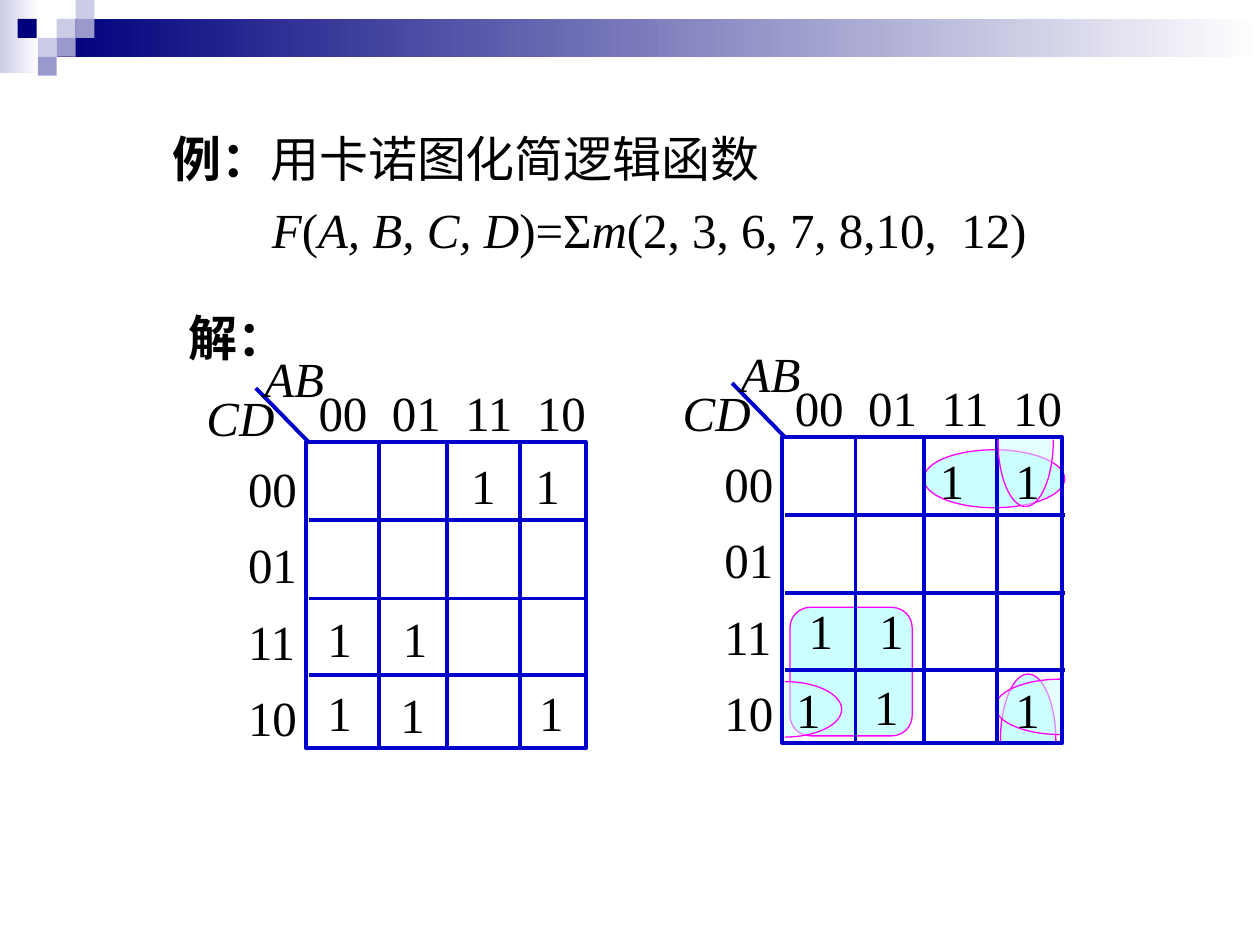
from dataclasses import dataclass

from lxml import etree
from pptx import Presentation
from pptx.dml.color import RGBColor
from pptx.enum import shapes, text
from pptx.oxml import ns
from pptx.util import Inches, Pt


@dataclass(frozen=True)
class Theme:
    font: str = "Times New Roman"
    size: float = 28
    ink: str = "000000"
    grid: str = "0000CC"
    loop: str = "FF00FF"
    loop_fill: str = "CCFFFF"
    navy: str = "00007D"
    mid: str = "9999CC"
    pale: str = "CCCCE6"
    white: str = "FFFFFF"
    grid_pt: float = 2.25
    loop_pt: float = 0.75


class Board:
    """Holds the theme and the current slide."""

    def __init__(self, s, theme):
        self.s, self.theme = s, theme

    def style(self, sp, fill=None, line=None, width=1, alpha=None):
        sp.shadow.inherit = False
        if fill is None:
            sp.fill.background()
        elif isinstance(fill, tuple):
            sp.fill.gradient()
            sp.fill.gradient_angle = 0
            for stop, color in zip(sp.fill.gradient_stops, fill):
                stop.color.rgb = RGBColor.from_string(color)
        else:
            sp.fill.solid()
            sp.fill.fore_color.rgb = RGBColor.from_string(fill)
        if alpha:
            clr = sp._element.spPr.find(ns.qn("a:solidFill")).find(ns.qn("a:srgbClr"))
            etree.SubElement(clr, ns.qn("a:alpha"), val=str(alpha * 1000))
        if line is None:
            sp.line.fill.background()
        else:
            sp.line.color.rgb = RGBColor.from_string(line)
            sp.line.width = Pt(width)
        return sp

    def box(self, x, y, w, h, kind=shapes.MSO_SHAPE.RECTANGLE, **look):
        sp = self.s.shapes.add_shape(kind, Inches(x), Inches(y), Inches(w), Inches(h))
        return self.style(sp, **look)

    def loop(self, kind, x, y, w, h):
        t = self.theme
        return self.box(x, y, w, h, kind, fill=t.loop_fill, line=t.loop, width=t.loop_pt)

    def half_loop(self, cx, cy, out, side, alpha=None):
        """Open half ellipse at (cx, cy); out is its reach, side its half width."""
        k = 0.55
        weights = [(0, -1), (k, -1), (1, -k), (1, 0), (1, k), (k, 1), (0, 1)]
        pts = [(Inches(cx + a * out[0] + b * side[0]), Inches(cy + a * out[1] + b * side[1]))
               for a, b in weights]
        builder = self.s.shapes.build_freeform(*pts[0])
        builder.add_line_segments(pts[1:], close=False)
        sp = builder.convert_to_shape()
        # Turn each three straight segments into one curve
        segments = list(sp._element.iter(ns.qn("a:lnTo")))
        for first in (0, 3):
            curve = etree.Element(ns.qn("a:cubicBezTo"))
            segments[first].addprevious(curve)
            for segment in segments[first:first + 3]:
                curve.append(segment[0])
                segment.getparent().remove(segment)
        t = self.theme
        return self.style(sp, t.loop_fill, t.loop, t.loop_pt, alpha)

    def line(self, x1, y1, x2, y2):
        cx = self.s.shapes.add_connector(
            shapes.MSO_CONNECTOR.STRAIGHT, Inches(x1), Inches(y1), Inches(x2), Inches(y2))
        cx.line.color.rgb = RGBColor.from_string(self.theme.grid)
        cx.line.width = Pt(self.theme.grid_pt)
        etree.SubElement(cx._element.spPr, ns.qn("a:effectLst"))
        return cx

    def text(self, x, y, w, h, paragraphs, wrap=False, spacing=None, hanging=None):
        """Each paragraph is a list of (wording, format dict) runs; None breaks the line."""
        sp = self.s.shapes.add_textbox(Inches(x), Inches(y), Inches(w), Inches(h))
        tf = sp.text_frame
        tf.word_wrap = wrap
        tf.auto_size = text.MSO_AUTO_SIZE.SHAPE_TO_FIT_TEXT
        for i, runs in enumerate(paragraphs):
            p = tf.paragraphs[0] if i == 0 else tf.add_paragraph()
            if spacing:
                p.line_spacing = spacing
            if hanging:
                pPr = p._p.get_or_add_pPr()
                pPr.set("marL", str(Inches(hanging)))
                pPr.set("indent", str(-Inches(hanging)))
            for wording, extra in runs:
                if wording is None:
                    p.add_line_break()
                    continue
                r = p.add_run()
                r.text = wording
                fmt = {"name": self.theme.font, "size": Pt(self.theme.size), **extra}
                for key, value in fmt.items():
                    setattr(r.font, key, value)
                r.font.color.rgb = RGBColor.from_string(self.theme.ink)
        return sp

    def karnaugh_frame(self, x, y):
        """Axis labels and the 4 by 4 grid with its corner at (x, y)."""
        self.line(x + 0.02, y, x - 0.4, y - 0.43)
        self.text(x, y - 0.52, 2.34, 0.57, [[("00  01  11  10", {})]])
        # The narrow box wraps the first two codes onto separate lines
        self.text(x - 0.56, y - 0.06, 0.65, 2.53,
                  [[(codes, {})] for codes in ("0001", "11", "10")], wrap=True, spacing=1.3)
        for name, dx, dy, w in [("AB", -0.43, -0.79, 0.68), ("CD", -0.89, -0.48, 0.74)]:
            self.text(x + dx, y + dy, w, 0.57, [[(name, {"italic": True})]])
        self.box(x, y, 2.22, 2.43, line=self.theme.grid, width=self.theme.grid_pt)
        for dx in (0.58, 1.12, 1.7):
            self.line(x + dx, y, x + dx, y + 2.44)
        for dy in (0.62, 1.24, 1.85):
            self.line(x + 0.02, y + dy, x + 2.24, y + dy)

    def ones(self, places, w=0.4, h=0.57, **layout):
        for x, y in places:
            self.text(x, y, w, h, [[("1", {})]], **layout)


def main():
    prs = Presentation()
    prs.slide_width, prs.slide_height = Inches(10), Inches(7.5)
    t = Theme()
    b = Board(prs.slides.add_slide(prs.slide_layouts[6]), t)

    # Banner and corner squares
    b.box(0, 0, 0.31, 0.58, fill=(t.pale, t.white))
    b.box(0.45, 0.15, 9.55, 0.3, fill=(t.navy, t.white))
    for x, y, color in [(0.45, 0.15, t.pale), (0.6, 0, t.pale), (0.6, 0.15, t.mid),
                        (0.3, 0.3, t.pale), (0.14, 0.15, t.navy), (0.45, 0.3, t.mid),
                        (0.3, 0.45, t.mid)]:
        b.box(x, y, 0.15, 0.15, fill=color)

    # Problem statement
    bold, italic = {"bold": True}, {"italic": True}
    b.text(1.27, 0.88, 7.04, 1.22, [[
        ("例：", bold), ("用卡诺图化简逻辑函数", {}), (None, {}),
        ("F", italic), ("(", {}), ("A, B, C, D", italic), (")=Σ", {}), ("m", italic),
        ("(2, 3, 6, 7, 8,10,  12)", {}),
    ]], wrap=True, spacing=1.2, hanging=0.79)
    b.text(1.4, 2.39, 0.99, 0.57, [[("解：", bold)]])

    # Map with the minterms filled in
    top_row = {"w": 0.44, "h": 0.66, "wrap": True, "spacing": 1.2}
    b.karnaugh_frame(2.43, 3.51)
    b.ones([(3.64, 3.47), (4.15, 3.47)], **top_row)
    b.ones([(2.5, 4.78), (3.1, 4.78), (2.5, 5.37), (3.08, 5.38), (4.18, 5.37)])

    # Map with the groups circled
    b.half_loop(8.16, 5.88, out=(0, -0.53), side=(0.22, 0))
    b.half_loop(8.42, 5.61, out=(-0.52, 0), side=(0, 0.22), alpha=50)
    b.loop(shapes.MSO_SHAPE.ROUNDED_RECTANGLE, 6.27, 4.82, 0.97, 1.02)
    b.loop(shapes.MSO_SHAPE.OVAL, 7.33, 3.57, 1.12, 0.46)
    b.karnaugh_frame(6.21, 3.47)
    b.half_loop(6.23, 5.63, out=(0.45, 0), side=(0, 0.22), alpha=50)
    b.half_loop(8.14, 3.49, out=(0, 0.53), side=(0.22, 0), alpha=50)
    b.ones([(7.36, 3.43), (7.96, 3.43)], **top_row)
    b.ones([(6.32, 4.72), (6.88, 4.72), (6.22, 5.34), (6.84, 5.32), (7.96, 5.34)])

    prs.save("out.pptx")


if __name__ == "__main__":
    main()
